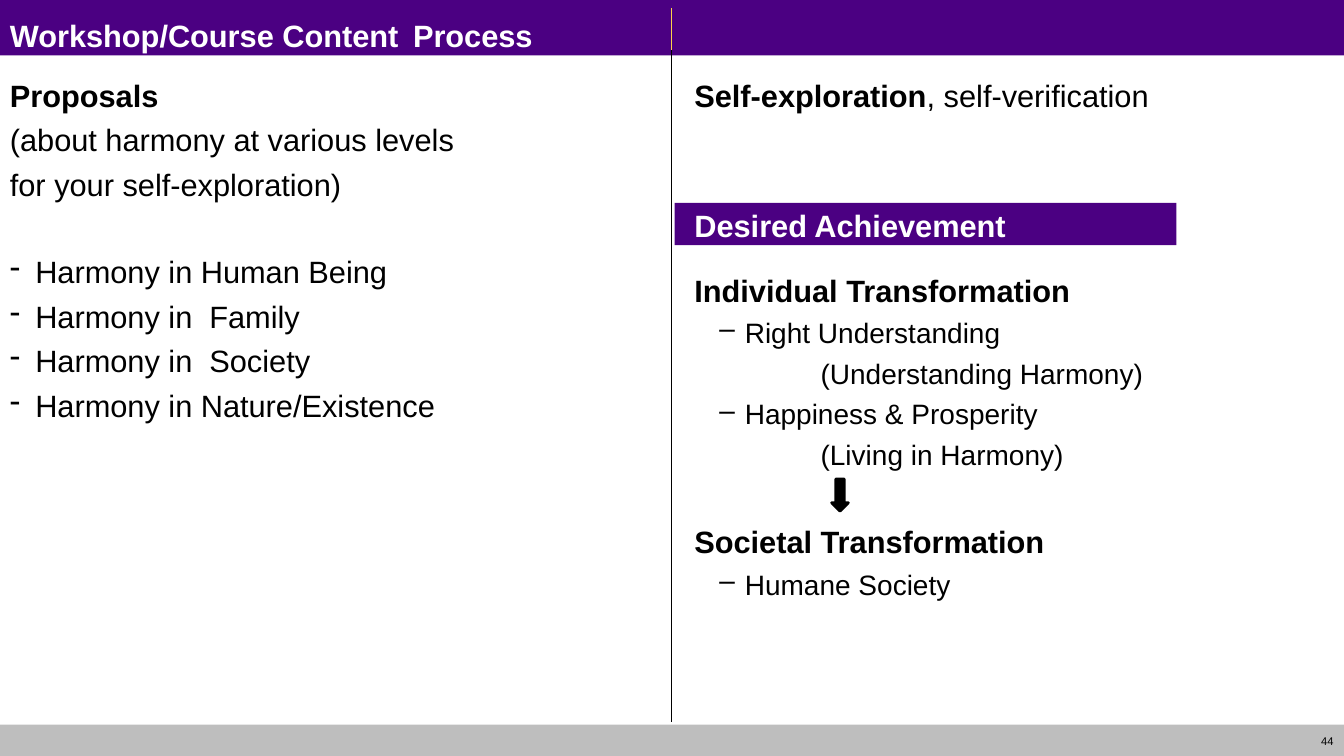
from lxml import etree
from pptx import Presentation
from pptx import util as u
from pptx.dml.color import RGBColor
from pptx.enum import shapes, text
from pptx.oxml.ns import qn

PURPLE, GREY, BLACK, WHITE, GOLD = "4B0082", "BEBEBE", "000000", "FFFFFF", "FBD24A"


def paint(target, colour):
    if hasattr(target, "solid"):
        target.solid()
        target = target.fore_color
    else:
        target = target.color
    target.rgb = RGBColor.from_string(colour)


def write(frame, content, size=22, bold=False, colour=BLACK, before=0, margin=0,
          bullet=None, tab=None, align=text.PP_ALIGN.LEFT, tail=None):
    line = frame.paragraphs[0]
    if line.runs:
        line = frame.add_paragraph()
    props = line._p.get_or_add_pPr()
    props.set("marL", str(u.Cm(margin)))
    props.set("indent", str(u.Cm(-0.64 if bullet else 0)))
    if bullet:
        etree.SubElement(props, qn("a:buChar"), char=bullet)
    else:
        etree.SubElement(props, qn("a:buNone"))
    if tab:
        stops = etree.SubElement(props, qn("a:tabLst"))
        etree.SubElement(stops, qn("a:tab"), pos=str(u.Cm(tab)), algn="l")
    line.alignment = align
    line.space_before = u.Pt(before)
    for words, heavy in ((content, bold), (tail, False)):
        if words:
            run = line.add_run()
            run.text = words
            run.font.name = "Arial"
            run.font.size = u.Pt(size)
            run.font.bold = heavy
            paint(run.font, colour)


deck = Presentation()
deck.slide_width, deck.slide_height = u.Cm(33.87), u.Cm(19.05)
slide = deck.slides.add_slide(deck.slide_layouts[6])

for left, top, width, height, colour in (
    (0, 0, 33.87, 1.4, PURPLE),
    (0, 18.26, 33.87, 0.79, GREY),
    (17, 5.11, 12.65, 1.07, PURPLE),
):
    band = slide.shapes.add_shape(shapes.MSO_SHAPE.RECTANGLE,
                                  u.Cm(left), u.Cm(top), u.Cm(width), u.Cm(height))
    band.shadow.inherit = False
    paint(band.fill, colour)
    band.line.fill.background()

frames = []
for left, top, width, height in (
    (0, 0.3, 33.87, 1.07),
    (0, 1.8, 16.69, 16.4),
    (17.25, 1.8, 16.61, 16.4),
    (32.28, 18.26, 1.58, 0.81),
):
    box = slide.shapes.add_textbox(u.Cm(left), u.Cm(top), u.Cm(width), u.Cm(height))
    box.text_frame.word_wrap = True
    frames.append(box.text_frame)
heading, content, process, page = frames

write(heading, "Workshop/Course Content\tProcess", bold=True, colour=WHITE, tab=17.79)

write(content, "Proposals", bold=True)
write(content, "(about harmony at various levels", before=5.4)
write(content, "for your self-exploration)", before=5.4)
levels = ("Human Being", " Family", " Society", "Nature/Existence")
for order, level in enumerate(levels):
    write(content, f"Harmony in {level}", before=5.4 if order else 36.1,
          margin=0.64, bullet="-")

write(process, "Self-exploration", bold=True, tail=", self-verification")
write(process, "Desired Achievement", bold=True, colour=WHITE, before=66.8)
write(process, "Individual Transformation", bold=True, before=19.7)
for goal, meaning in (("Right Understanding", "(Understanding Harmony)"),
                      ("Happiness & Prosperity", "(Living in Harmony)")):
    write(process, goal, size=20, before=5.1, margin=1.27, bullet="–")
    write(process, meaning, size=20, before=5.1, margin=3.18)
write(process, "Societal Transformation", bold=True, before=37)
write(process, "Humane Society", size=20, before=5.1, margin=1.27, bullet="–")

page.vertical_anchor = text.MSO_ANCHOR.MIDDLE
write(page, "44", size=8, align=text.PP_ALIGN.RIGHT)

for start, end, colour in ((1.27, 18.2, BLACK), (0.2, 1.27, GOLD)):
    divider = slide.shapes.add_connector(shapes.MSO_CONNECTOR.STRAIGHT,
                                         u.Cm(16.93), u.Cm(start), u.Cm(16.93), u.Cm(end))
    paint(divider.line, colour)
    divider.line.width = u.Pt(0.75)
    etree.SubElement(divider._element.spPr, qn("a:effectLst"))

arrow = slide.shapes.add_shape(shapes.MSO_SHAPE.DOWN_ARROW,
                               u.Cm(20.96), u.Cm(12.07), u.Cm(0.42), u.Cm(0.81))
arrow.shadow.inherit = False
paint(arrow.fill, BLACK)
paint(arrow.line, BLACK)
arrow.line.width = u.Pt(2)

deck.save("out.pptx")
